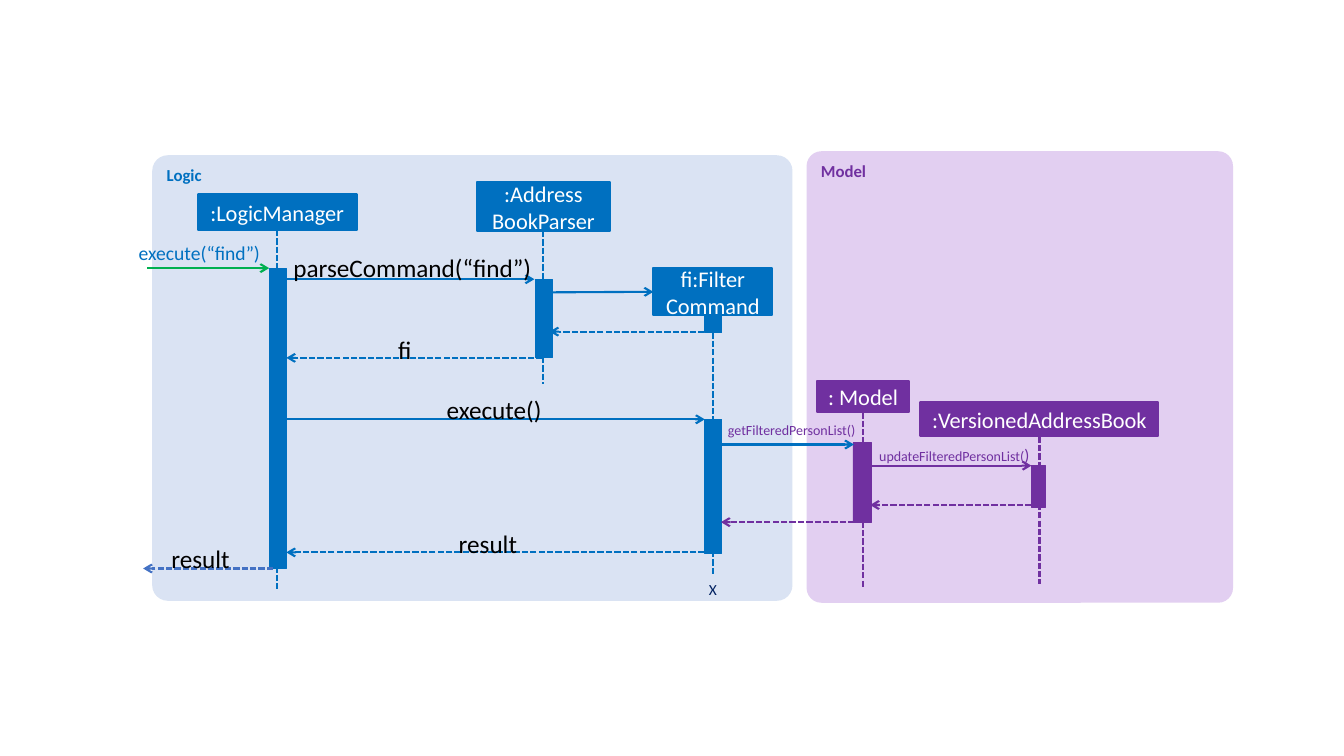
from lxml.etree import SubElement
from pptx import Presentation
from pptx.dml.color import RGBColor
from pptx.enum.dml import MSO_LINE
from pptx.enum.shapes import MSO_CONNECTOR, MSO_SHAPE
from pptx.enum.text import MSO_ANCHOR, PP_ALIGN
from pptx.oxml.ns import qn
from pptx.util import Inches, Pt

BLUE = RGBColor(0x00, 0x70, 0xC0)
PURPLE = RGBColor(0x70, 0x30, 0xA0)
GREEN = RGBColor(0x00, 0xB0, 0x50)
RESULT_BLUE = RGBColor(0x44, 0x72, 0xC4)
NAVY = RGBColor(0x00, 0x20, 0x60)
PALE_BLUE = RGBColor(0xDA, 0xE3, 0xF3)
PALE_PURPLE = RGBColor(0xE2, 0xCF, 0xF1)
BLACK = RGBColor(0x00, 0x00, 0x00)
WHITE = RGBColor(0xFF, 0xFF, 0xFF)

prs = Presentation()
prs.slide_width, prs.slide_height = Inches(13.33), Inches(7.5)
slide = prs.slides.add_slide(prs.slide_layouts[6])
shapes = slide.shapes


def write(frame, text, size, color, align, bold=False):
    frame.text = text
    frame.word_wrap = True
    for paragraph in frame.paragraphs:
        paragraph.alignment = align
        for run in paragraph.runs:
            run.font.name = "Calibri"
            run.font.size = Pt(size)
            run.font.bold = bold
            run.font.color.rgb = color


def draw_line(x1, y1, x2, y2, color, dashed=False, arrow=True):
    line = shapes.add_connector(
        MSO_CONNECTOR.STRAIGHT, Inches(x1), Inches(y1), Inches(x2), Inches(y2))
    line.line.color.rgb = color
    line.line.width = Pt(1.5)
    if dashed:
        line.line.dash_style = MSO_LINE.SQUARE_DOT
    if arrow:
        SubElement(line.line._get_or_add_ln(), qn("a:tailEnd"), type="arrow")
    SubElement(line._element.spPr, qn("a:effectLst"))
    return line


components = [
    ("Model", 8, 1.5, 4.23, 4.48, PALE_PURPLE, PURPLE),
    ("Logic", 1.51, 1.54, 6.35, 4.42, PALE_BLUE, BLUE),
]
for name, left, top, width, height, fill, color in components:
    panel = shapes.add_shape(
        MSO_SHAPE.ROUNDED_RECTANGLE,
        Inches(left), Inches(top), Inches(width), Inches(height))
    panel.adjustments[0] = 0.035
    panel.shadow.inherit = False
    panel.fill.solid()
    panel.fill.fore_color.rgb = fill
    panel.line.fill.background()
    panel.text_frame.vertical_anchor = MSO_ANCHOR.TOP
    write(panel.text_frame, name, 12, color, PP_ALIGN.LEFT, bold=True)

participants = [
    (":LogicManager", 2.75, 1.93, 1.58, 0.35, 5.84, BLUE),
    (":Address\nBookParser", 5.39, 1.81, 1.32, 0.48, 3.81, BLUE),
    ("fi:Filter\nCommand", 7.07, 2.66, 1.18, 0.47, 5.71, BLUE),
    (": Model", 8.56, 3.78, 0.91, 0.31, 5.84, PURPLE),
    (":VersionedAddressBook", 10.31, 3.99, 2.36, 0.34, 5.79, PURPLE),
]
heads = {}
for name, center, top, width, height, life_end, color in participants:
    head = shapes.add_shape(
        MSO_SHAPE.RECTANGLE,
        Inches(center - width / 2), Inches(top), Inches(width), Inches(height))
    head.shadow.inherit = False
    head.fill.solid()
    head.fill.fore_color.rgb = color
    head.line.color.rgb = color
    head.line.width = Pt(1.5)
    head.text_frame.vertical_anchor = MSO_ANCHOR.MIDDLE
    head.text_frame.margin_left = head.text_frame.margin_right = Inches(0.05)
    write(head.text_frame, name, 16, WHITE, PP_ALIGN.CENTER)
    lifeline = draw_line(center, top + height, center, life_end, color,
                         dashed=True, arrow=False)
    lifeline.begin_connect(head, 2)
    heads[name] = head

activations = [
    (2.67, 2.66, 0.17, 2.98, BLUE),
    (5.31, 2.77, 0.17, 0.78, BLUE),
    (6.99, 3.13, 0.17, 0.17, BLUE),
    (6.99, 4.16, 0.17, 1.33, BLUE),
    (8.46, 4.39, 0.18, 0.79, PURPLE),
    (10.23, 4.62, 0.14, 0.41, PURPLE),
]
for left, top, width, height, color in activations:
    activation = shapes.add_shape(
        MSO_SHAPE.RECTANGLE,
        Inches(left), Inches(top), Inches(width), Inches(height))
    activation.shadow.inherit = False
    activation.fill.solid()
    activation.fill.fore_color.rgb = color
    activation.line.color.rgb = color
    activation.line.width = Pt(0.5)

calls = [
    (1.46, 2.67, 2.66, GREEN),
    (2.85, 5.3, 2.77, BLUE),
    (2.84, 6.99, 4.16, BLUE),
    (7.16, 8.47, 4.41, BLUE),
    (8.63, 10.23, 4.62, PURPLE),
]
for start, end, y, color in calls:
    draw_line(start, y, end, y, color)

creation = draw_line(5.48, 2.9, 6.48, 2.9, BLUE)
creation.end_connect(heads["fi:Filter\nCommand"], 1)

returns = [
    (7.07, 5.45, 3.29, BLUE),
    (5.38, 2.84, 3.55, BLUE),
    (10.23, 8.63, 5.01, PURPLE),
    (8.56, 7.15, 5.18, PURPLE),
    (6.99, 2.84, 5.48, BLUE),
    (2.71, 1.42, 5.64, RESULT_BLUE),
]
for start, end, y, color in returns:
    draw_line(start, y, end, y, color, dashed=True)

labels = [
    ("execute(“find”)", 1.04, 2.39, 1.54, 0.24, 14, BLUE, PP_ALIGN.RIGHT),
    ("parseCommand(“find”)", 2.91, 2.5, 2.39, 0.3, 18, BLACK, PP_ALIGN.LEFT),
    ("fi", 3.95, 3.32, 0.24, 0.3, 18, BLACK, PP_ALIGN.LEFT),
    ("execute()", 4.43, 3.91, 1.02, 0.3, 18, BLACK, PP_ALIGN.LEFT),
    ("getFilteredPersonList()", 7.22, 4.18, 1.41, 0.17, 10, PURPLE, PP_ALIGN.LEFT),
    ("result", 4.55, 5.24, 0.67, 0.22, 18, BLACK, PP_ALIGN.LEFT),
    ("result", 1.7, 5.39, 0.83, 0.22, 18, BLACK, PP_ALIGN.LEFT),
    ("X", 6.93, 5.76, 0.28, 0.17, 11, NAVY, PP_ALIGN.CENTER),
    ("updateFilteredPersonList(", 8.72, 4.41, 1.82, 0.2, 10, PURPLE, PP_ALIGN.LEFT),
]
for text, left, top, width, height, size, color, align in labels:
    label = shapes.add_textbox(
        Inches(left), Inches(top), Inches(width), Inches(height))
    frame = label.text_frame
    frame.margin_left = frame.margin_right = 0
    frame.margin_top = frame.margin_bottom = 0
    write(frame, text, size, color, align)

closing = frame.paragraphs[0].add_run()
closing.text = ")"
closing.font.name = "Calibri"
closing.font.size = Pt(12)
closing.font.color.rgb = PURPLE

prs.save("out.pptx")
